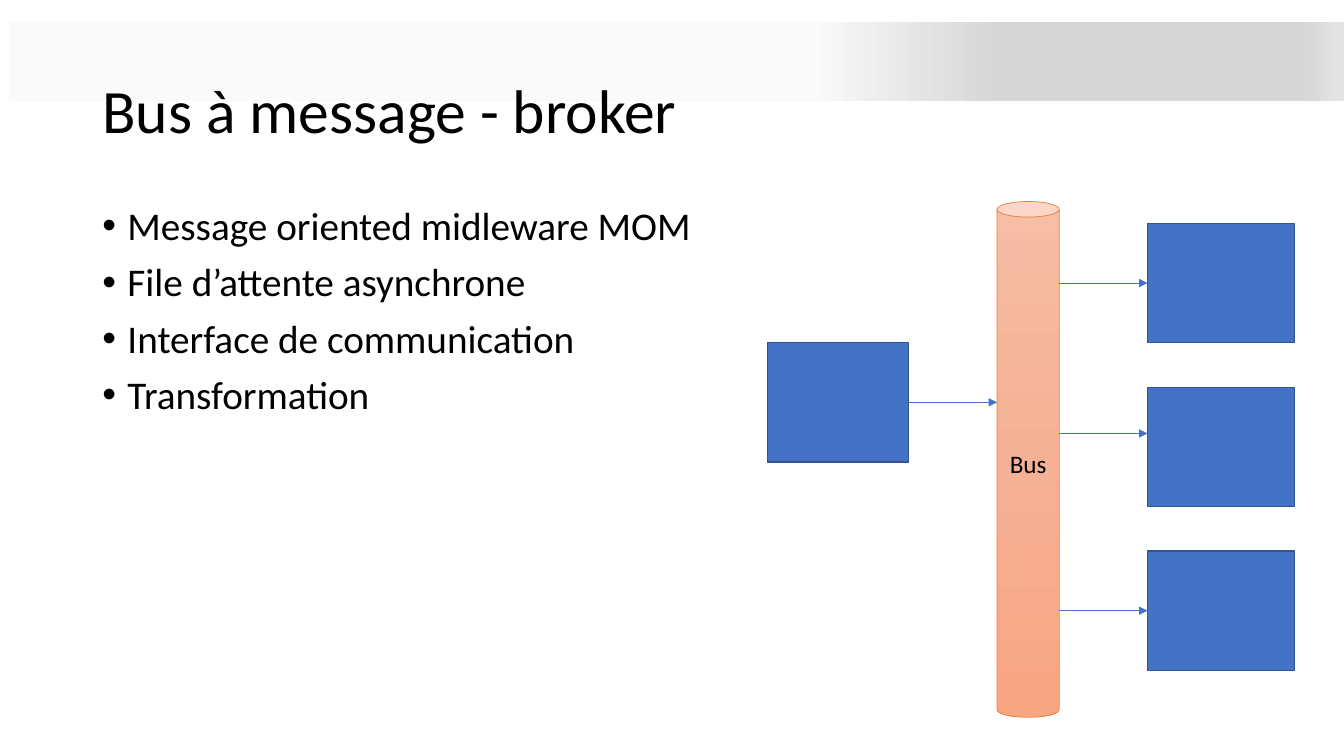
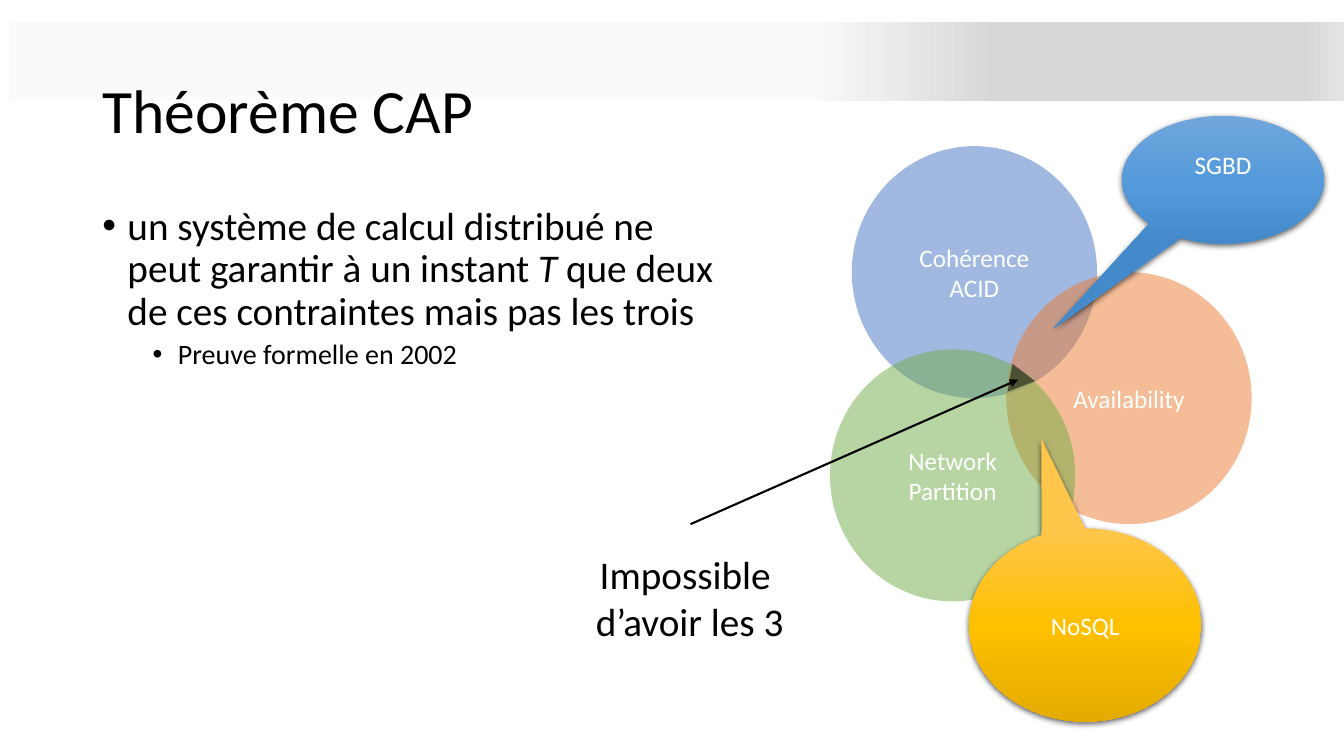
from lxml.etree import SubElement
from pptx import Presentation
from pptx.dml.color import RGBColor
from pptx.enum.shapes import MSO_CONNECTOR, MSO_SHAPE
from pptx.enum.text import MSO_ANCHOR, MSO_AUTO_SIZE, PP_ALIGN
from pptx.oxml.ns import qn
from pptx.util import Inches, Pt

# Grid: 160 columns by 90 rows of square cells
WIDTH, HEIGHT = Inches(13.333), Inches(7.5)
CELL = HEIGHT / 90

# Colours
BLACK = RGBColor(0x00, 0x00, 0x00)
WHITE = RGBColor(0xFF, 0xFF, 0xFF)
BLUE = RGBColor(0x44, 0x72, 0xC4)
DARK_BLUE = RGBColor(0x32, 0x54, 0x91)
ORANGE = RGBColor(0xED, 0x7D, 0x31)
GREEN = RGBColor(0x70, 0xAD, 0x47)

# Gradients: (position in percent, colour)
BAND_STOPS = [(60, RGBColor(0xFA, 0xFA, 0xFA)), (74, RGBColor(0xD7, 0xD7, 0xD7)),
              (97, RGBColor(0xD7, 0xD7, 0xD7)), (100, RGBColor(0xE4, 0xE4, 0xE4))]
BUS_STOPS = [(0, RGBColor(0xF7, 0xBD, 0xA5)), (50, RGBColor(0xF5, 0xB1, 0x96)),
             (100, RGBColor(0xF8, 0xA5, 0x82))]
SKY_STOPS = [(0, RGBColor(0x71, 0xA6, 0xDB)), (50, RGBColor(0x55, 0x9B, 0xDB)),
             (100, RGBColor(0x44, 0x8A, 0xCA))]
GOLD_STOPS = [(0, RGBColor(0xFF, 0xC6, 0x4B)), (50, RGBColor(0xFF, 0xC0, 0x00)),
              (100, RGBColor(0xE3, 0xAB, 0x00))]

# Text styles: colour, paragraph values, font values, bullet indent in inches
CENTRED = {"alignment": PP_ALIGN.CENTER}
TITLE = {"colour": BLACK, "font": {"size": Pt(44)},
         "para": {"alignment": PP_ALIGN.LEFT, "line_spacing": 0.9}}
POINT = {"colour": BLACK, "font": {"size": Pt(28)}, "indent": 0.25,
         "para": {"line_spacing": 0.9, "space_before": Pt(10)}}
SUBPOINT = {"colour": BLACK, "font": {"size": Pt(20)}, "indent": 0.75,
            "para": {"level": 1, "line_spacing": 0.9, "space_before": Pt(5)}}
LABEL = {"colour": WHITE, "font": {"size": Pt(18)}, "para": CENTRED}
BUS_LABEL = {**LABEL, "colour": BLACK}
CAPTION = {"colour": BLACK, "font": {"size": Pt(28)}, "para": CENTRED}


def write(frame, lines, anchor=MSO_ANCHOR.MIDDLE):
    """Fill a frame with (text, style) lines; asterisks enclose italics."""
    frame.word_wrap = True
    frame.vertical_anchor = anchor
    for row, (text, style) in enumerate(lines):
        para = frame.add_paragraph() if row else frame.paragraphs[0]
        if "indent" in style:
            props = para._p.get_or_add_pPr()
            props.set("marL", str(Inches(style["indent"])))
            props.set("indent", str(Inches(-0.25)))
            SubElement(props, qn("a:buFont")).set("typeface", "Arial")
            SubElement(props, qn("a:buChar")).set("char", "•")
        for name, value in style["para"].items():
            setattr(para, name, value)
        if row == 0:
            para.space_before = Pt(0)
        for part, words in enumerate(text.split("*")):
            span = para.add_run()
            span.text = words
            span.font.color.rgb = style["colour"]
            for name, value in {"name": "Calibri", "italic": part % 2 == 1, **style["font"]}.items():
                setattr(span.font, name, value)


def draw(page, kind, place, fill, angle=270, alpha=None, line=None):
    """Add a preset shape at a grid place, with a plain or gradient fill."""
    shape = page.shapes.add_shape(kind, *[round(n * CELL) for n in place])
    shape.shadow.inherit = False
    props = shape._element.spPr
    if isinstance(fill, list):
        shape.fill.gradient()
        shape.fill.gradient_angle = angle
        stops = props.find(".//" + qn("a:gsLst"))
        stops.clear()
        for position, colour in fill:
            stop = SubElement(stops, qn("a:gs"), pos=str(position * 1000))
            SubElement(stop, qn("a:srgbClr"), val=str(colour))
    else:
        shape.fill.solid()
        shape.fill.fore_color.rgb = fill
    if alpha:
        SubElement(props.find(".//" + qn("a:srgbClr")), qn("a:alpha"), val=str(alpha * 1000))
    if line:
        shape.line.color.rgb, shape.line.width = line[0], Pt(line[1])
    else:
        shape.line.fill.background()
    return shape


deck = Presentation()
deck.slide_width, deck.slide_height = WIDTH, HEIGHT

# Title and bullets of each slide
CONTENTS = [
    ("Bus à message - broker", 138,
     [("Message oriented midleware MOM", POINT), ("File d’attente asynchrone", POINT),
      ("Interface de communication", POINT), ("Transformation", POINT)]),
    ("Théorème CAP", 75.1,
     [("un système de calcul distribué ne peut garantir à un instant *T* que deux de ces "
       "contraintes mais pas les trois", POINT),
      ("Preuve formelle en 2002", SUBPOINT)]),
]
pages = []
for heading, body_width, points in CONTENTS:
    page = deck.slides.add_slide(deck.slide_layouts[5])
    title = page.shapes.title
    title.left, title.top, title.width, title.height = [round(n * CELL) for n in (11, 4.8, 138, 17.4)]
    write(title.text_frame, [(heading, TITLE)])
    body = page.shapes.add_textbox(*[round(n * CELL) for n in (11, 24, body_width, 57.1)])
    write(body.text_frame, points, MSO_ANCHOR.TOP)
    pages.append(page)
bus_page, cap_page = pages

# Grey band, shared through the master
band = draw(bus_page, MSO_SHAPE.RECTANGLE, (1.1, 2.6, 158.9, 9.4), BAND_STOPS, angle=0)
deck.slide_master.shapes._spTree.insert(2, band._element)

# Bus, its sender and its receivers
BUS_LEFT, BUS_RIGHT, RECEIVER_LEFT = 118.7, 126.1, 136.6
BOX_HEIGHT, BOX_STEP = 14.2, 19.5
box_line = (DARK_BLUE, 1)
sender = draw(bus_page, MSO_SHAPE.RECTANGLE, (91.4, 40.8, 16.8, BOX_HEIGHT), BLUE, line=box_line)
receivers = [draw(bus_page, MSO_SHAPE.RECTANGLE,
                  (RECEIVER_LEFT, 26.6 + row * BOX_STEP, 17.5, BOX_HEIGHT), BLUE, line=box_line)
             for row in range(3)]
bus = draw(bus_page, MSO_SHAPE.CAN, (BUS_LEFT, 24, BUS_RIGHT - BUS_LEFT, 61.4), BUS_STOPS,
           line=(ORANGE, 0.5))
write(bus.text_frame, [("Bus", BUS_LABEL)])

# Overlapping circles of the theorem
for left, top, colour, words in [(101.4, 17.4, BLUE, ["Cohérence", "ACID"]),
                                 (119.8, 32.4, ORANGE, ["Availability"]),
                                 (98.8, 41.6, GREEN, ["Network", "Partition"])]:
    circle = draw(cap_page, MSO_SHAPE.OVAL, (left, top, 29.2, 30), colour, alpha=50)
    write(circle.text_frame, [(word, LABEL) for word in words])

# Callouts with a soft shadow
for place, tip, stops, word, bottom in [
        ((133.6, 13.8, 24, 15.2), (-0.838, 1.161), SKY_STOPS, "SGBD", 0.35),
        ((115.4, 62.9, 27.6, 23), (-0.189, -0.963), GOLD_STOPS, "NoSQL", 0.05)]:
    callout = draw(cap_page, MSO_SHAPE.OVAL_CALLOUT, place, stops)
    callout.adjustments[0], callout.adjustments[1] = tip
    callout.text_frame.margin_bottom = Inches(bottom)
    write(callout.text_frame, [(word, LABEL)])
    effects = callout._element.spPr.find(qn("a:effectLst"))
    shade = SubElement(effects, qn("a:outerShdw"), blurRad=str(Pt(4.5)), dist=str(Pt(1.5)),
                       dir="5400000", algn="ctr", rotWithShape="0")
    tint = SubElement(shade, qn("a:srgbClr"), val=str(BLACK))
    SubElement(tint, qn("a:alpha"), val="63000")

# Arrows: page, ends, colour, width, boxes joined at the start and the end
for page, ends, colour, width, source, target in [
        (bus_page, (108.2, 47.9, BUS_LEFT, 47.9), BLUE, 0.5, sender, None),
        (bus_page, (BUS_RIGHT, 33.7, RECEIVER_LEFT, 33.7), BLUE, 0.5, None, receivers[0]),
        (bus_page, (BUS_RIGHT, 51.6, RECEIVER_LEFT, 51.6), BLUE, 0.5, None, None),
        (bus_page, (BUS_RIGHT, 72.7, RECEIVER_LEFT, 72.7), BLUE, 0.5, None, receivers[2]),
        (cap_page, (82.2, 62.4, 121.2, 45.2), BLACK, 1.5, None, None)]:
    arrow = page.shapes.add_connector(MSO_CONNECTOR.STRAIGHT, *[round(n * CELL) for n in ends])
    arrow.line.color.rgb, arrow.line.width = colour, Pt(width)
    if source:
        arrow.begin_connect(source, 3)
    if target:
        arrow.end_connect(target, 1)
    props = arrow._element.spPr
    SubElement(props.find(qn("a:ln")), qn("a:tailEnd"), type="triangle")
    SubElement(props, qn("a:effectLst"))

# Common area of the three circles, and its caption
overlap = draw(cap_page, MSO_SHAPE.ISOSCELES_TRIANGLE, (119.3, 43.2, 3.5, 2.9), BLACK, alpha=50)
overlap.rotation = 338.7
caption = cap_page.shapes.add_textbox(*[round(n * CELL) for n in (69.2, 64.9, 25.8, 12.5)])
write(caption.text_frame, [("Impossible ", CAPTION), ("d’avoir les 3", CAPTION)], MSO_ANCHOR.TOP)
caption.text_frame.auto_size = MSO_AUTO_SIZE.SHAPE_TO_FIT_TEXT

deck.save("out.pptx")
